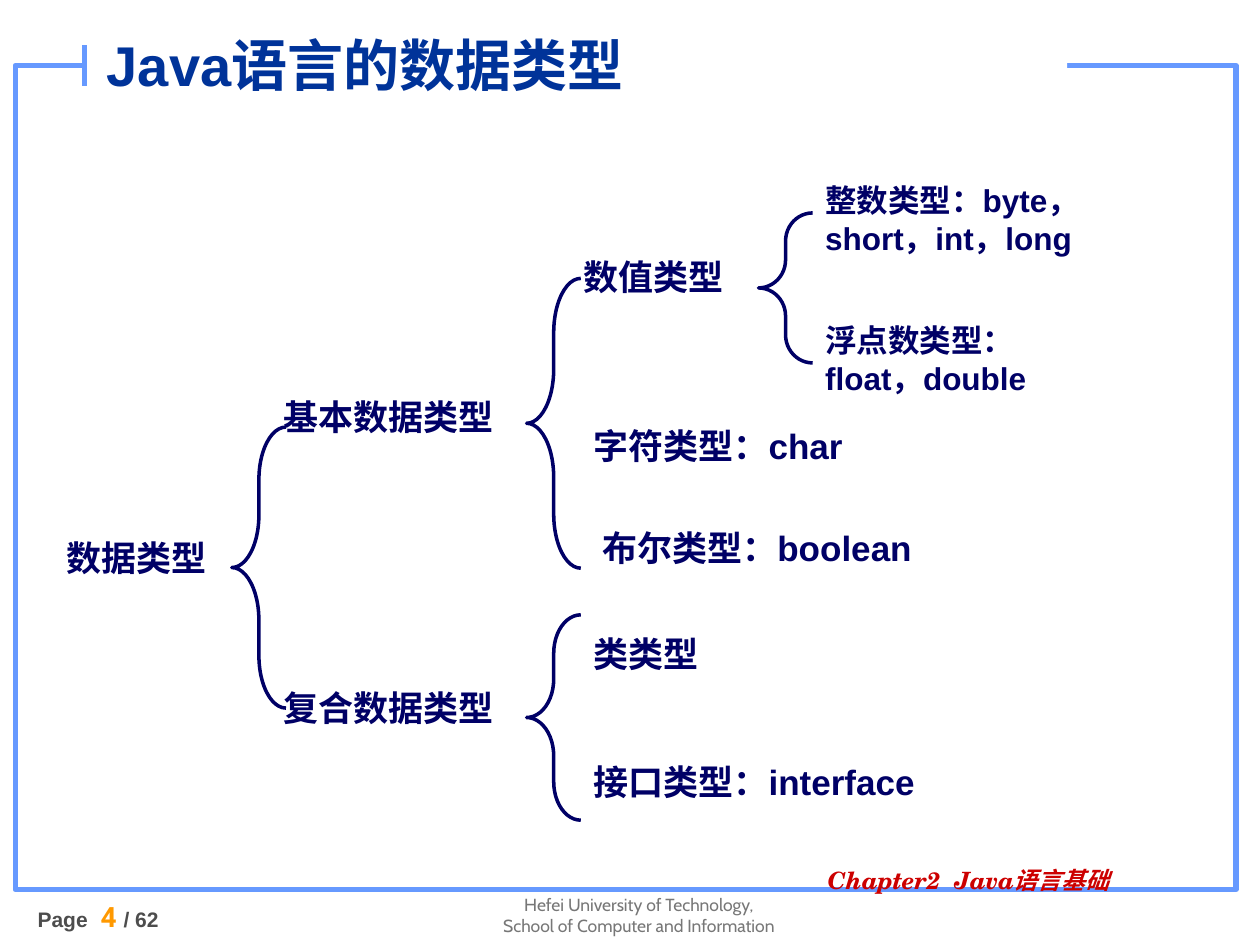
from pptx import Presentation
from pptx.dml.color import RGBColor
from pptx.enum.shapes import MSO_CONNECTOR, MSO_SHAPE
from pptx.enum.text import MSO_ANCHOR, PP_ALIGN
from pptx.oxml.ns import qn
from pptx.util import Inches, Pt
from lxml.etree import SubElement

COLS, ROWS = 100, 75  # square grid cells covering the slide
CELL = Inches(0.1)

WHITE = RGBColor(0xFF, 0xFF, 0xFF)
FRAME_BLUE = RGBColor(0x66, 0x99, 0xFF)
TITLE_BLUE = RGBColor(0x00, 0x33, 0x99)
NAVY = RGBColor(0x00, 0x00, 0x66)
RED = RGBColor(0xCC, 0x00, 0x00)
ORANGE = RGBColor(0xFF, 0x99, 0x00)
GREY = RGBColor(0x77, 0x77, 0x77)
DARK_GREY = RGBColor(0x4D, 0x4D, 0x4D)

# column, row, width, height, size, text; all relative to the tree's box
LABELS = [
    (0, 28.2, 15.6, 4.4, 20, "数据类型"),
    (17.2, 17, 22.7, 4.4, 20, "基本数据类型"),
    (17.2, 40.1, 21.9, 4.4, 20, "复合数据类型"),
    (41, 5.9, 15.6, 4.4, 20, "数值类型"),
    (41.8, 19.3, 28.3, 4.4, 20, "字符类型：char"),
    (42.5, 27.4, 32.6, 4.4, 20, "布尔类型：boolean"),
    (41.8, 35.8, 13.5, 4.4, 20, "类类型"),
    (41.8, 46, 34.7, 4.4, 20, "接口类型：interface"),
    (60.2, 0, 24.1, 8, 18, "整数类型：byte，short，int，long"),
    (60.2, 11.1, 24.1, 8, 18, "浮点数类型：float，double"),
]
# column, row, height
BRACES = [(14.1, 20, 22.3), (37.5, 8.2, 23), (37.5, 34.9, 16.3), (55.9, 3, 11.9)]
BRACE_WIDTH = 4.3
BRACE_CURVE = 0.1875  # share of the brace's height taken by each curve


def cells(*values):
    return [round(v * CELL) for v in values]


def style(font, size, color, name="Arial", bold=True, italic=False):
    font.size, font.name = Pt(size), name
    font.bold, font.italic = bold, italic
    font.color.rgb = color


def add_text(s, box, lines, size, color, align=PP_ALIGN.LEFT, **font):
    tf = s.shapes.add_textbox(*cells(*box)).text_frame
    tf.word_wrap = True
    for i, line in enumerate(lines):
        p = tf.paragraphs[0] if i == 0 else tf.add_paragraph()
        p.text = line
        p.alignment = align
        style(p.font, size, color, **font)
    return tf


def add_plain_shape(s, kind, box, fill=None, line=None, width=0):
    sp = s.shapes.add_shape(kind, *cells(*box))
    sp.shadow.inherit = False
    if fill is None:
        sp.fill.background()
    else:
        sp.fill.solid()
        sp.fill.fore_color.rgb = fill
    if line is None:
        sp.line.fill.background()
    else:
        sp.line.color.rgb = line
        sp.line.width = Pt(width)
    return sp


def add_frame(s, box):
    """Border whose top edge is broken by a gap for the title."""
    x, y, w, h = box
    add_plain_shape(s, MSO_SHAPE.RECTANGLE, box, line=FRAME_BLUE, width=3)
    gap = x + 5.5
    add_plain_shape(s, MSO_SHAPE.RECTANGLE, (gap, y - 2.4, 78, 3.5), fill=WHITE)
    tick = s.shapes.add_connector(
        MSO_CONNECTOR.STRAIGHT, *cells(gap, y - 1.6, gap, y + 1.6))
    tick.line.color.rgb = FRAME_BLUE
    tick.line.width = Pt(3)
    SubElement(tick._element.spPr, qn("a:effectLst"))


def add_title(s, box):
    tf = add_text(s, box, ["Java语言的数据类型"], 32, TITLE_BLUE)
    tf.vertical_anchor = MSO_ANCHOR.MIDDLE


def add_type_tree(s, box):
    x, y = box[:2]
    for col, row, h in BRACES:
        brace = add_plain_shape(s, MSO_SHAPE.LEFT_BRACE,
                                (x + col, y + row, BRACE_WIDTH, h),
                                line=NAVY, width=2)
        brace.adjustments[0] = BRACE_CURVE * h / BRACE_WIDTH
    for col, row, w, h, size, text in LABELS:
        add_text(s, (x + col, y + row, w, h), [text], size, NAVY)


def add_footer(s, box):
    x, y, w, h = box
    add_text(s, (x + 36, y, 25.4, h),
             ["Hefei University of Technology,",
              "School of Computer and Information"],
             10, GREY, PP_ALIGN.CENTER, name="Cabin", bold=False)
    tf = add_text(s, (x, y + 0.4, 18.1, h), [""], 12, DARK_GREY)
    p = tf.paragraphs[0]
    for text, size, color, name, bold in [
            ("Page ", 12, DARK_GREY, "Arial", True),
            (" ", 16, ORANGE, "Roboto", False),
            ("4 ", 16, ORANGE, "Roboto", True),
            ("/ 62", 12, DARK_GREY, "Arial", True)]:
        r = p.add_run()
        r.text = text
        style(r.font, size, color, name, bold)
    chapter = add_text(s, (x + 62.7, y - 2, 30.7, 3.5), ["Chapter2  Java语言基础"],
                       13.6, RED, name="TeX Gyre Schola", italic=True)
    chapter.paragraphs[0].line_spacing = 0.9


def main():
    prs = Presentation()
    prs.slide_width, prs.slide_height = cells(COLS, ROWS)
    s = prs.slides.add_slide(prs.slide_layouts[6])
    add_frame(s, (1.2, 5.2, 96.9, 65.4))
    add_footer(s, (2, 70.5, 96, 6))
    add_title(s, (7.5, 1.1, 67.7, 8))
    add_type_tree(s, (4.3, 13.9, 84.3, 51.2))
    prs.save("out.pptx")


if __name__ == "__main__":
    main()
